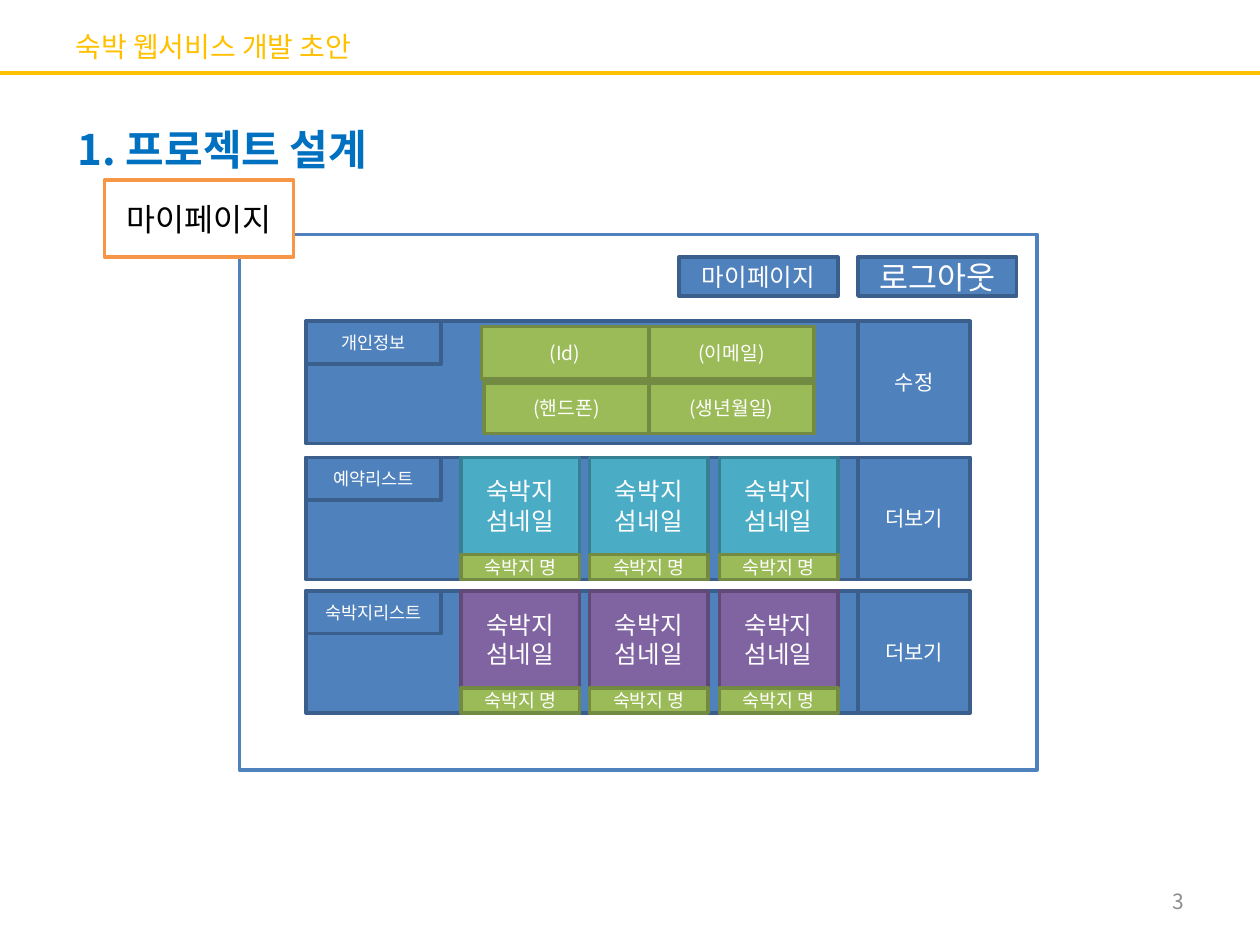
"""Build the my-page wireframe slide of the lodging web service draft."""
from lxml import etree
from pptx import Presentation
from pptx import util as u
from pptx.dml.color import RGBColor
from pptx.enum import shapes, text
from pptx.oxml import ns

FONT = "Noto Sans CJK KR"
BLUE, NAVY = "4F81BD", "3A5F8C"
GREEN, OLIVE = "9BBB59", "738A42"


def write(sp, words, size, color, align=text.PP_ALIGN.LEFT, bold=False):
    tf = sp.text_frame
    tf.text = words
    tf.vertical_anchor = text.MSO_ANCHOR.MIDDLE
    p = tf.paragraphs[0]
    p.alignment = align
    r = p.runs[0]
    r.font.name, r.font.size, r.font.bold = FONT, u.Pt(size), bold
    r.font.color.rgb = RGBColor.from_string(color)
    etree.SubElement(r.font._element, ns.qn("a:ea"), typeface=FONT)


def box(x, y, w, h, fill, line, words="", size=12, color="FFFFFF"):
    sp = s.shapes.add_shape(shapes.MSO_SHAPE.RECTANGLE, *map(u.Inches, (x, y, w, h)))
    sp.shadow.inherit = False
    sp.fill.solid()
    sp.fill.fore_color.rgb = RGBColor.from_string(fill)
    sp.line.color.rgb = RGBColor.from_string(line)
    sp.line.width = u.Pt(2)
    if words:
        write(sp, words, size, color, text.PP_ALIGN.CENTER)


prs = Presentation()
prs.slide_width, prs.slide_height = u.Inches(10), u.Inches(7.5)
s = prs.slides.add_slide(prs.slide_layouts[5])

rule = s.shapes.add_connector(shapes.MSO_CONNECTOR.STRAIGHT, 0, u.Inches(0.58), u.Inches(10), u.Inches(0.58))
rule.line.color.rgb = RGBColor.from_string("FFC000")
rule.line.width = u.Pt(2.25)
etree.SubElement(rule._element.spPr, ns.qn("a:effectLst"))

title = s.shapes.title
title.left, title.top, title.width, title.height = map(u.Inches, (0.5, 0.13, 9, 0.47))
title.text_frame.auto_size = text.MSO_AUTO_SIZE.NONE
write(title, "숙박 웹서비스 개발 초안", 16, "FFC000")

heading = s.shapes.add_textbox(*map(u.Inches, (0.52, 0.93, 2.74, 0.5)))
write(heading, "1. 프로젝트 설계", 24, "0070C0", bold=True)

number = s.shapes.add_textbox(*map(u.Inches, (7.17, 6.95, 2.33, 0.4)))
number.text_frame.word_wrap = True
write(number, "3", 12, "8C8C8C", text.PP_ALIGN.RIGHT)

box(1.9, 1.86, 6.33, 4.25, "FFFFFF", BLUE)
box(0.83, 1.43, 1.5, 0.61, "FFFFFF", "F79646", "마이페이지", 18, "000000")
box(5.39, 2.04, 1.26, 0.31, BLUE, NAVY, "마이페이지", 14)
box(6.81, 2.04, 1.26, 0.31, BLUE, NAVY, "로그아웃", 18)

sections = [
    (2.55, "개인정보", "수정", None),
    (3.63, "예약리스트", "더보기", ("4BACC6", "377F92")),
    (4.69, "숙박지리스트", "더보기", ("8064A2", "5F4A78")),
]
for y, label, action, card in sections:
    box(2.43, y, 4.38, 0.97, BLUE, NAVY)
    box(6.81, y, 0.89, 0.97, BLUE, NAVY, action, 12)
    box(2.43, y, 1.07, 0.34, BLUE, NAVY, label, 10)
    if card:
        for x in (3.66, 4.68, 5.71):
            box(x, y, 0.94, 0.77, *card, "숙박지 섬네일", 14)
            box(x, y + 0.77, 0.94, 0.2, GREEN, OLIVE, "숙박지 명", 10.5)

fields = [
    (2.59, 0.42, 3.82, ("(Id)", "(이메일)")),
    (3.04, 0.4, 3.84, ("(핸드폰)", "(생년월일)")),
]
for y, h, left, (first, second) in fields:
    box(left, y, 5.15 - left, h, GREEN, OLIVE, first, 11)
    box(5.15, y, 1.31, h, GREEN, OLIVE, second, 11)

prs.save("out.pptx")
